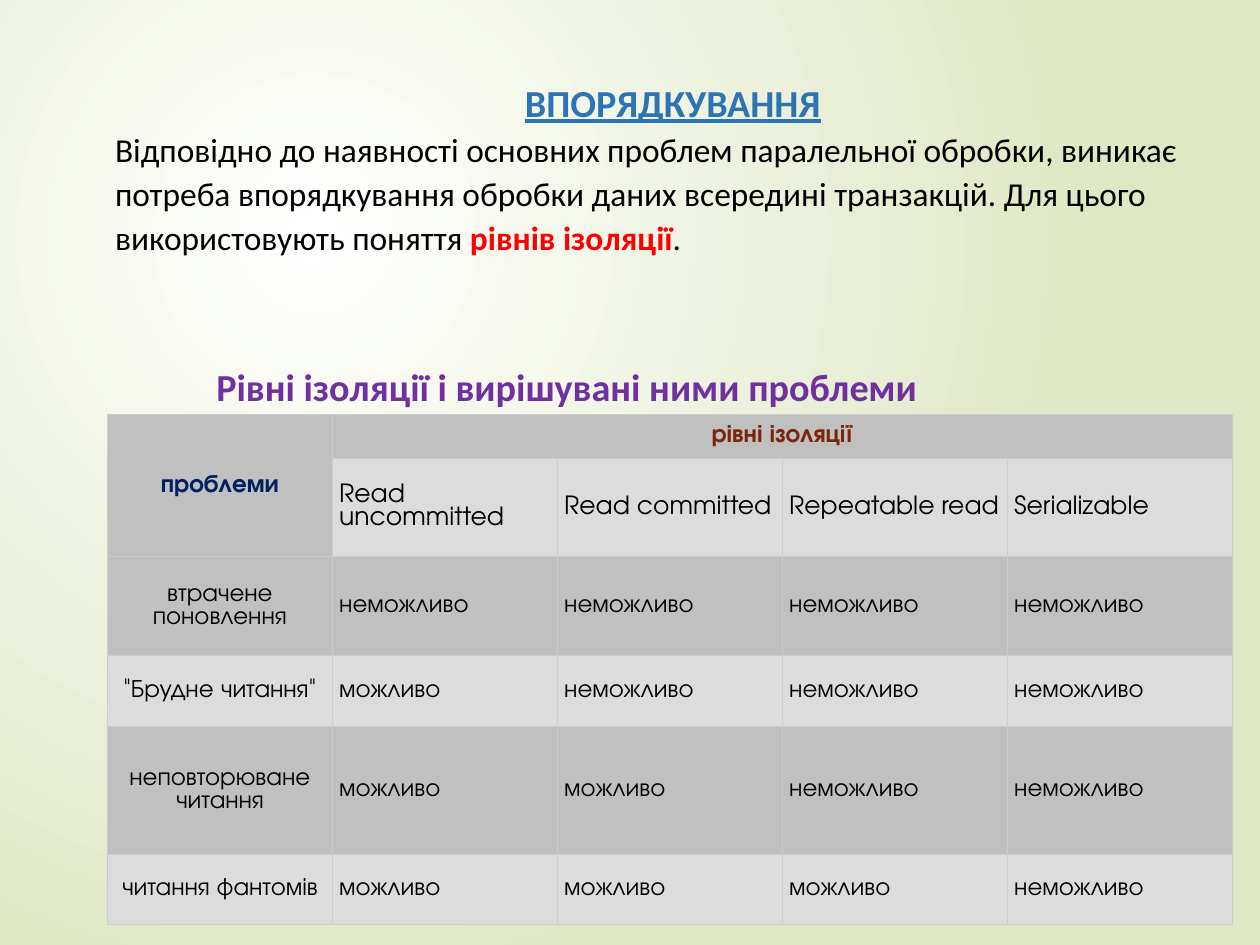
import lxml.etree
import pptx
import pptx.dml.color
import pptx.enum.text
import pptx.oxml
import pptx.oxml.ns
import pptx.util

Inches = pptx.util.Inches
Pt = pptx.util.Pt
ALIGN = pptx.enum.text.PP_ALIGN
qn = pptx.oxml.ns.qn

COLORS = {
    "white": "FFFFFF", "green": "DFE8C4", "blue": "2D74B5", "black": "000000",
    "red": "FF0000", "purple": "7030A0", "navy": "002060", "brown": "7C240C",
    "dark_band": "C0C0C0", "light_band": "DCDCDC", "border": "CCCCCC",
}


def rgb(name):
    return pptx.dml.color.RGBColor.from_string(COLORS[name])


class SlideBuilder:
    heading_font = "Calibri"
    table_font = "TeX Gyre Adventor"
    table_size = 21
    cell_margin = Inches(0.08)

    def __init__(self, slide):
        self.slide = slide

    def background(self, inner, outer):
        fill = self.slide.background.fill
        fill.gradient()
        for stop, (position, color) in zip(fill.gradient_stops, ((0, inner), (1, outer))):
            stop.position = position
            stop.color.rgb = rgb(color)
        gradient = self.slide.element.find(".//" + qn("a:gradFill"))
        gradient.remove(gradient.find(qn("a:lin")))
        circle = lxml.etree.SubElement(gradient, qn("a:path"), path="circle")
        lxml.etree.SubElement(circle, qn("a:fillToRect"),
                              l="50000", t="50000", r="100000", b="100000")

    def run(self, paragraph, text, font, size, color, bold=False, underline=False):
        run = paragraph.add_run()
        run.text = text
        run.font.name = font
        run.font.size = Pt(size)
        run.font.bold = bold
        run.font.underline = underline
        run.font.color.rgb = rgb(color)

    def text_frame(self, left, top, width, height, wrap=True):
        box = self.slide.shapes.add_textbox(
            Inches(left), Inches(top), Inches(width), Inches(height))
        frame = box.text_frame
        frame.word_wrap = wrap
        frame.auto_size = pptx.enum.text.MSO_AUTO_SIZE.SHAPE_TO_FIT_TEXT
        return frame

    def intro(self, title, parts):
        frame = self.text_frame(1.33, 0.92, 13, 2.11)
        frame.margin_left = frame.margin_right = frame.margin_top = frame.margin_bottom = 0
        heading = frame.paragraphs[0]
        heading.alignment = ALIGN.CENTER
        self.run(heading, title, self.heading_font, 32, "blue", True, True)
        body = frame.add_paragraph()
        body.line_spacing = 1.09
        body.space_before = Pt(0.8)
        for text, color, bold in parts:
            self.run(body, text, self.heading_font, 28, color, bold)
        for paragraph in frame.paragraphs:
            paragraph._p.get_or_add_pPr().set("marL", str(Inches(0.01)))

    def caption(self, text):
        frame = self.text_frame(2.42, 4.18, 8.67, 0.64, wrap=False)
        self.run(frame.paragraphs[0], text, self.heading_font, 32, "purple", True)

    def cell(self, cell, text, band, color="black", bold=False, align=ALIGN.LEFT):
        cell.margin_left = cell.margin_right = self.cell_margin
        cell.margin_top = cell.margin_bottom = self.cell_margin
        cell.vertical_anchor = pptx.enum.text.MSO_ANCHOR.MIDDLE
        cell.fill.solid()
        cell.fill.fore_color.rgb = rgb(band)
        properties = cell._tc.get_or_add_tcPr()
        for index, side in enumerate(("lnL", "lnR", "lnT", "lnB")):
            properties.insert(index, pptx.oxml.parse_xml(
                f'<a:{side} {pptx.oxml.ns.nsdecls("a")} w="{Pt(0.75)}"><a:solidFill>'
                f'<a:srgbClr val="{COLORS["border"]}"/></a:solidFill></a:{side}>'))
        frame = cell.text_frame
        for index, line in enumerate(text.split("\n") if text else []):
            paragraph = frame.add_paragraph() if index else frame.paragraphs[0]
            paragraph.alignment = align
            self.run(paragraph, line, self.table_font, self.table_size, color, bold)

    def isolation_table(self, rows, heights):
        table = self.slide.shapes.add_table(
            len(rows), len(rows[0]), Inches(1.25), Inches(4.82),
            Inches(13.08), Inches(sum(heights))).table
        for column in table.columns:
            column.width = Inches(2.62)
        for row, height in zip(table.rows, heights):
            row.height = Inches(height)
        table.cell(0, 0).merge(table.cell(1, 0))
        table.cell(0, 1).merge(table.cell(0, len(rows[0]) - 1))
        header_colors = {(0, 0): "navy", (0, 1): "brown"}
        for r, row in enumerate(rows):
            for c, text in enumerate(row):
                header = (r, c) in header_colors
                band = "light_band" if r % 2 and (r, c) != (1, 0) else "dark_band"
                self.cell(table.cell(r, c), text, band,
                          header_colors.get((r, c), "black"), header,
                          ALIGN.CENTER if header or c == 0 else ALIGN.LEFT)


def main():
    presentation = pptx.Presentation()
    presentation.slide_width = Inches(14.67)
    presentation.slide_height = Inches(11)
    builder = SlideBuilder(presentation.slides.add_slide(presentation.slide_layouts[6]))
    builder.background("white", "green")
    builder.intro("ВПОРЯДКУВАННЯ", [
        ("Відповідно до наявності основних проблем паралельної обробки, виникає "
         "потреба впорядкування обробки даних всередині транзакцій. Для цього "
         "використовують поняття ", "black", False),
        ("рівнів ізоляції", "red", True),
        (".", "black", False),
    ])
    builder.caption("Рівні ізоляції і вирішувані ними проблеми")

    levels = ["Read uncommitted", "Read committed", "Repeatable read", "Serializable"]
    possible_levels = {
        "втрачене поновлення": 0,
        '"Брудне читання"': 1,
        "неповторюване\nчитання": 2,
        "читання фантомів": 3,
    }
    rows = [["проблеми", "рівні ізоляції", "", "", ""], ["", *levels]]
    for problem, possible in possible_levels.items():
        rows.append([problem] + ["можливо"] * possible
                    + ["неможливо"] * (len(levels) - possible))
    builder.isolation_table(rows, [0.49, 1.15, 1.15, 0.82, 1.49, 0.82])
    presentation.save("out.pptx")


if __name__ == "__main__":
    main()
